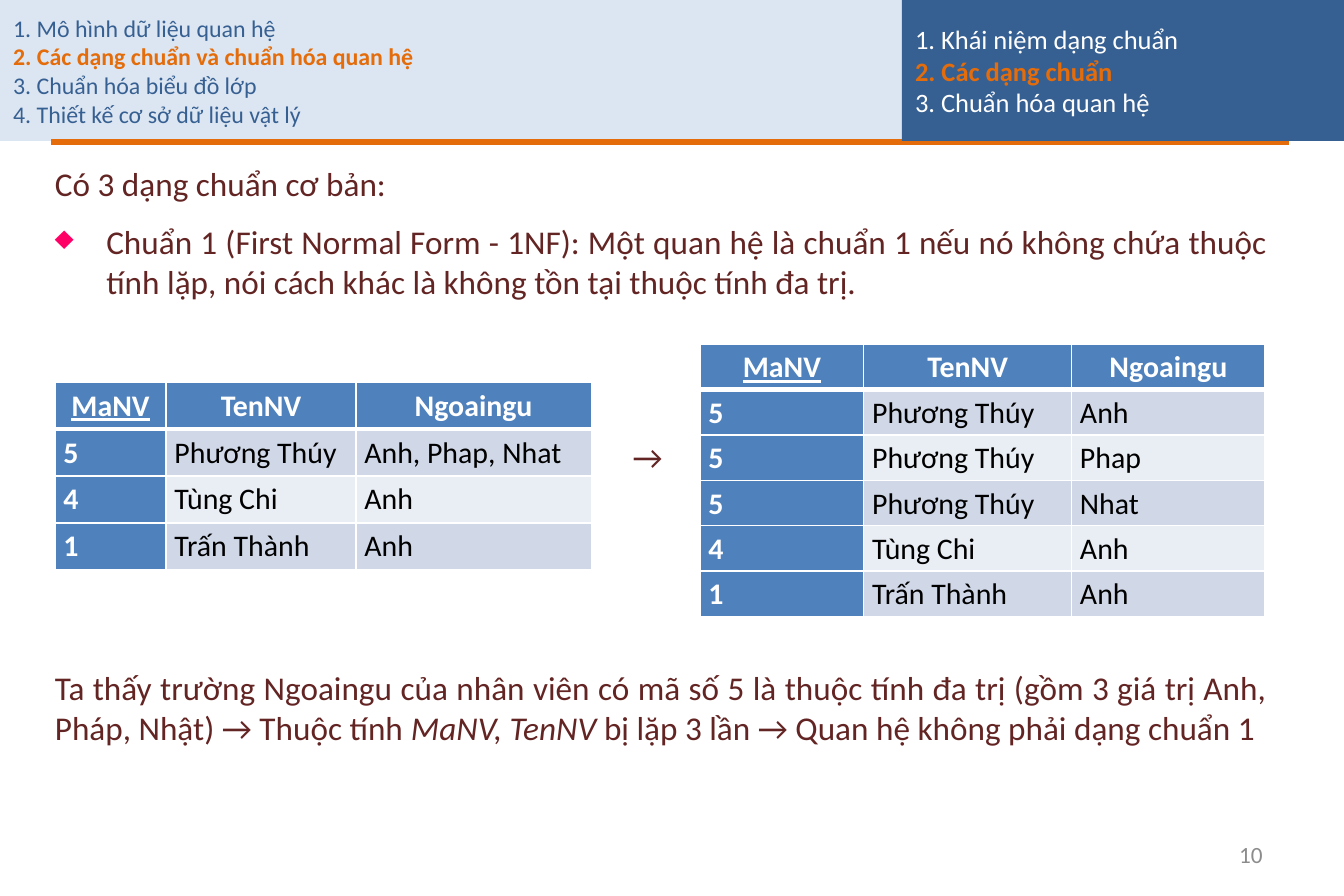
from dataclasses import dataclass

from lxml.etree import SubElement
from pptx import Presentation
from pptx.dml.color import RGBColor as RGB
from pptx.enum.shapes import MSO_CONNECTOR as CONNECTOR, MSO_SHAPE as SHAPE
from pptx.enum.text import MSO_ANCHOR as ANCHOR, PP_ALIGN as ALIGN
from pptx.oxml.ns import qn
from pptx.util import Emu, Inches, Pt


@dataclass(frozen=True)
class Theme:
    """Colours, font and type sizes of the slide."""
    font: str = "Calibri"
    white: str = "FFFFFF"
    black: str = "000000"
    pale: str = "DCE6F2"
    navy: str = "376092"
    orange: str = "E46C0A"
    brown: str = "632523"
    pink: str = "FF0066"
    grey: str = "8C8C8C"
    header: str = "4F81BD"
    bands: tuple = ("D0D8E8", "E9EDF4")
    chapter_size: float = 14.4
    section_size: float = 16
    body_size: float = 20
    table_size: float = 18
    number_size: float = 14


T = Theme()
WIDTH, HEIGHT = Inches(11.25), Inches(7.5)
PAD_X, PAD_Y, CELL_PAD = Inches(0.11), Inches(0.06), Inches(0.07)
HEADER_ROWS = 15.73
BODY_LEFT, BODY_COLS = 3.11, 92.18

CHAPTERS = ["1. Mô hình dữ liệu quan hệ", "2. Các dạng chuẩn và chuẩn hóa quan hệ",
            "3. Chuẩn hóa biểu đồ lớp", "4. Thiết kế cơ sở dữ liệu vật lý"]
SECTIONS = ["1. Khái niệm dạng chuẩn", "2. Các dạng chuẩn", "3. Chuẩn hóa quan hệ"]
INTRO = "Có 3 dạng chuẩn cơ bản:"
FIRST_FORM = ("Chuẩn 1 (First Normal Form - 1NF): Một quan hệ là chuẩn 1 nếu nó không chứa "
              "thuộc tính lặp, nói cách khác là không tồn tại thuộc tính đa trị.")
CONCLUSION = [
    ("Ta thấy trường Ngoaingu của nhân viên có mã số 5 là thuộc tính đa trị "
     "(gồm 3 giá trị Anh, Pháp, Nhật) → Thuộc tính ", False),
    ("MaNV, TenNV ", True),
    ("bị lặp 3 lần → Quan hệ không phải dạng chuẩn 1", False),
]
FIELDS = ("MaNV", "TenNV", "Ngoaingu")
OTHERS = [("4", "Tùng Chi", "Anh"), ("1", "Trấn Thành", "Anh")]
REPEATED = [FIELDS, ("5", "Phương Thúy", "Anh, Phap, Nhat"), *OTHERS]
NORMALIZED = [FIELDS, *(("5", "Phương Thúy", lang) for lang in ("Anh", "Phap", "Nhat")),
              *OTHERS]


def col(n):
    """Return n hundredths of the slide width."""
    return Emu(round(WIDTH * n / 100))


def row(n):
    """Return n hundredths of the slide height."""
    return Emu(round(HEIGHT * n / 100))


def area(left, top, cols, rows):
    """Turn grid numbers into a position and a size."""
    return col(left), row(top), col(cols), row(rows)


def add_run(p, text, size, color, bold=False, italic=False, underline=False):
    """Append one styled run to a paragraph."""
    r = p.add_run()
    r.text = text
    f = r.font
    f.name, f.size, f.color.rgb = T.font, Pt(size), RGB.from_string(color)
    f.bold, f.italic, f.underline = bold, italic, underline


def set_frame(sp, anchor):
    """Set wrapping, insets and anchor of a shape and return its text frame."""
    tf = sp.text_frame
    tf.word_wrap, tf.vertical_anchor = True, anchor
    tf.margin_left = tf.margin_right = PAD_X
    tf.margin_top = tf.margin_bottom = PAD_Y
    return tf


def add_text(s, box, align, anchor=ANCHOR.TOP):
    """Add a text box and return its frame with the first paragraph aligned."""
    tf = set_frame(s.shapes.add_textbox(*area(*box)), anchor)
    tf.paragraphs[0].alignment = align
    return tf


def add_outline(s, box, fill, items, size, color):
    """Add a header panel listing items with the second one highlighted."""
    sp = s.shapes.add_shape(SHAPE.RECTANGLE, *area(*box))
    sp.shadow.inherit = False
    sp.fill.solid()
    sp.fill.fore_color.rgb = RGB.from_string(fill)
    sp.line.fill.background()
    tf = set_frame(sp, ANCHOR.MIDDLE)
    for i, item in enumerate(items):
        p = tf.paragraphs[0] if i == 0 else tf.add_paragraph()
        p.alignment = ALIGN.LEFT
        current = i == 1
        add_run(p, item, size, T.orange if current else color, bold=current)


def add_rule(s, left, right, y):
    """Draw the thick rule below the header."""
    line = s.shapes.add_connector(CONNECTOR.STRAIGHT, col(left), row(y), col(right), row(y))
    line.line.color.rgb, line.line.width = RGB.from_string(T.orange), Pt(4)
    SubElement(line._element.spPr, qn("a:effectLst"))


def set_bullet(p, char, color, indent):
    """Give a paragraph a coloured bullet and a hanging indent."""
    pPr = p._p.get_or_add_pPr()
    pPr.set("marL", str(indent))
    pPr.set("indent", str(-indent))
    SubElement(SubElement(pPr, qn("a:buClr")), qn("a:srgbClr"), val=color)
    SubElement(pPr, qn("a:buChar"), char=char)


def set_borders(cell, top, bottom):
    """Draw white borders round a cell with the given top and bottom widths."""
    tcPr = cell._tc.get_or_add_tcPr()
    for side, width in (("L", 1), ("R", 1), ("T", top), ("B", bottom)):
        ln = SubElement(tcPr, qn(f"a:ln{side}"), w=str(Pt(width)))
        SubElement(SubElement(ln, qn("a:solidFill")), qn("a:srgbClr"), val=T.white)


def fill_cell(cell, text, i, j):
    """Style and fill the cell of row i and column j."""
    heading, key = i == 0, j == 0
    strong = heading or key
    set_borders(cell, 3 if i == 1 else 1, 3 if heading else 1)
    cell.fill.solid()
    cell.fill.fore_color.rgb = RGB.from_string(T.header if strong else T.bands[(i - 1) % 2])
    cell.margin_left = cell.margin_right = CELL_PAD
    cell.margin_top = cell.margin_bottom = 0
    p = cell.text_frame.paragraphs[0]
    p.alignment = ALIGN.CENTER if heading else ALIGN.LEFT
    p.line_spacing, p.space_after = 1.15, Pt(6)
    add_run(p, text, T.table_size, T.white if strong else T.black,
            bold=strong, underline=heading and key)


def add_relation(s, left, top, widths, height, records):
    """Add a relation table with a header row and a key column."""
    box = area(left, top, sum(widths), height * len(records))
    table = s.shapes.add_table(len(records), len(widths), *box).table
    for column, width in zip(table.columns, widths):
        column.width = col(width)
    for i, record in enumerate(records):
        table.rows[i].height = row(height)
        for j, text in enumerate(record):
            fill_cell(table.cell(i, j), text, i, j)


def add_definition(s):
    """Add the introduction and the bulleted first normal form."""
    tf = add_text(s, (BODY_LEFT, 17.47, BODY_COLS, 18), ALIGN.JUSTIFY)
    p = tf.paragraphs[0]
    p.space_after = Pt(6.8)
    add_run(p, INTRO, T.body_size, T.brown)
    p = tf.add_paragraph()
    p.alignment, p.space_before = ALIGN.JUSTIFY, Pt(4)
    set_bullet(p, "♦", T.pink, col(3.82))
    add_run(p, FIRST_FORM, T.body_size, T.brown)


def main():
    """Build the slide and save it."""
    prs = Presentation()
    prs.slide_width, prs.slide_height = WIDTH, HEIGHT
    s = prs.slides.add_slide(prs.slide_layouts[6])
    add_outline(s, (0, 0, 69.96, HEADER_ROWS), T.pale, CHAPTERS, T.chapter_size, T.navy)
    add_rule(s, 3.82, 95.91, 15.87)
    add_outline(s, (67.11, 0, 32.89, HEADER_ROWS), T.navy, SECTIONS, T.section_size, T.white)
    add_definition(s)
    add_relation(s, 4.09, 42.67, (8.27, 14.13, 17.51), 5.23, REPEATED)
    tf = add_text(s, (45.18, 47.93, 6, 6), ALIGN.CENTER)
    add_run(tf.paragraphs[0], "→", T.body_size, T.brown)
    add_relation(s, 52.09, 38.4, (12.18, 15.47, 14.4), 5.07, NORMALIZED)
    tf = add_text(s, (BODY_LEFT, 73.73, BODY_COLS, 11), ALIGN.JUSTIFY)
    for text, italic in CONCLUSION:
        add_run(tf.paragraphs[0], text, T.body_size, T.brown, italic=italic)
    tf = add_text(s, (71.64, 92.67, 23.29, 5.33), ALIGN.RIGHT, ANCHOR.MIDDLE)
    add_run(tf.paragraphs[0], "10", T.number_size, T.grey)
    prs.save("out.pptx")


if __name__ == "__main__":
    main()
